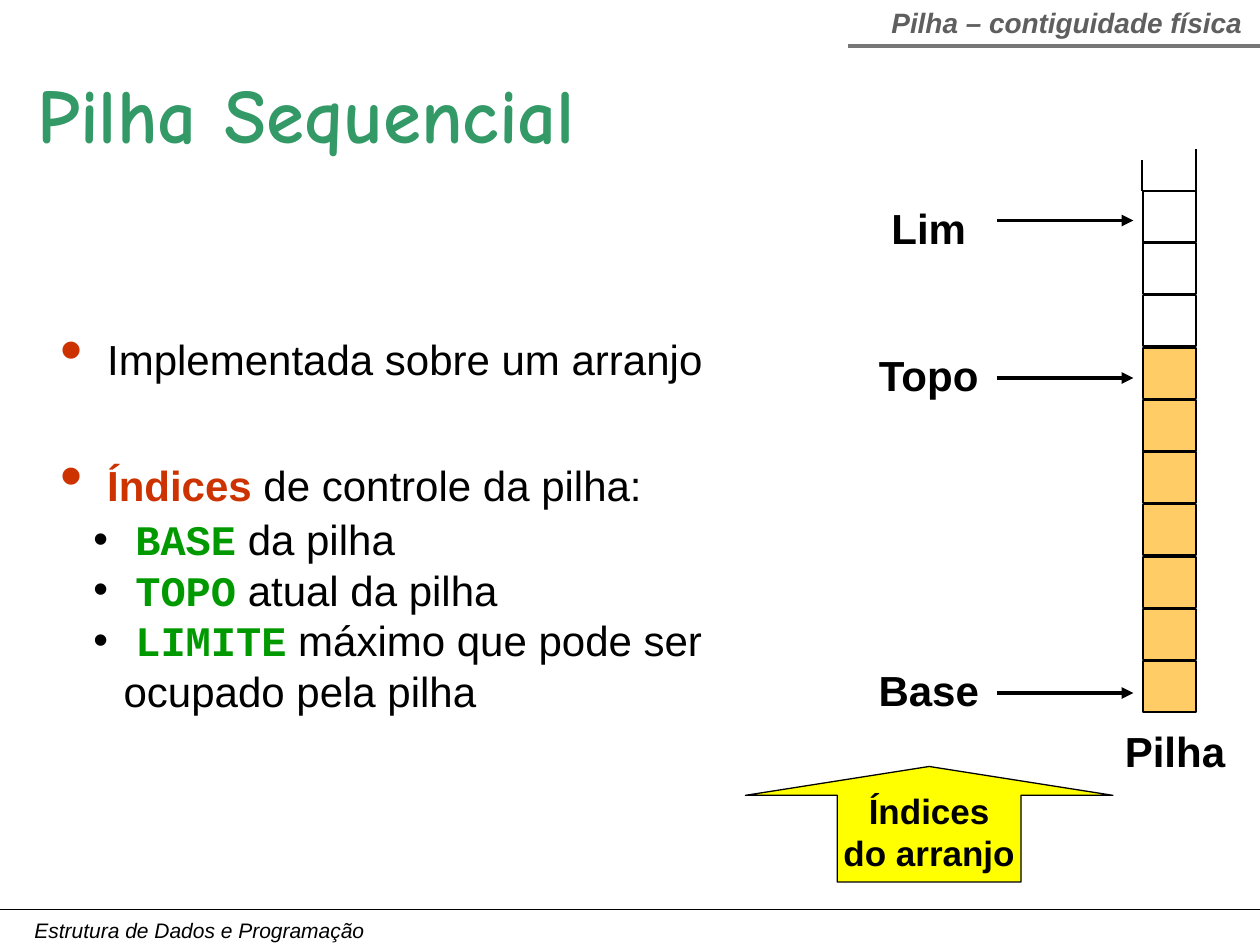
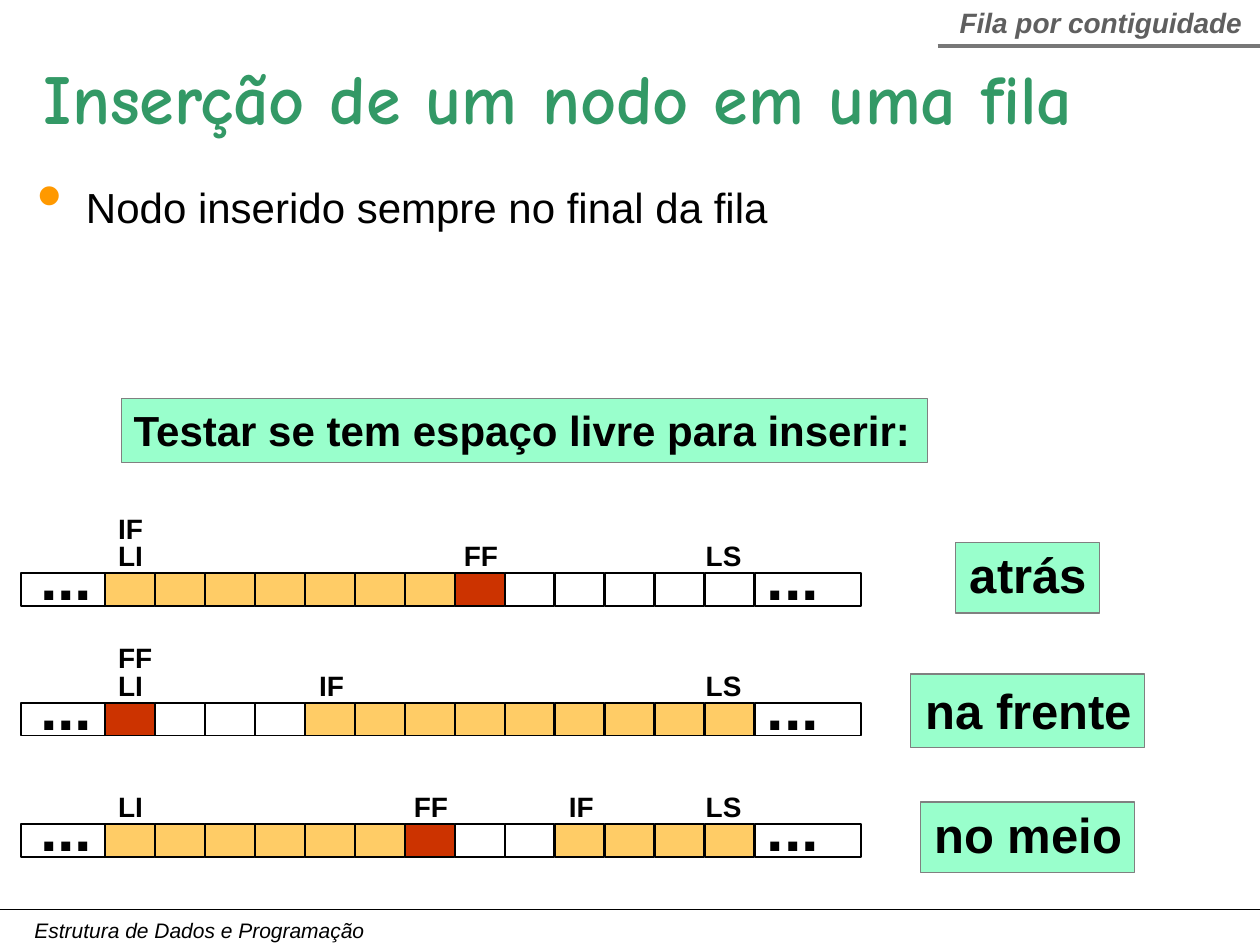
from collections import namedtuple

from lxml import etree
from pptx import Presentation
from pptx import util as u
from pptx.dml.color import RGBColor
from pptx.enum import shapes, text
from pptx.oxml import ns

Box = namedtuple("Box", "left top width height")
COLUMNS, ROWS = 120, 90
UNIT = u.Inches(10) / COLUMNS
BLACK, WHITE, USED, NEW, MINT = "000000", "FFFFFF", "FFCC66", "CC3300", "99FFCC"
GREY, RULE, TITLE, CODE = "5F5F5F", "777777", "339966", "009900"
CELL_FILLS = {"u": USED, "n": NEW, "f": WHITE}
LEFT, CENTER, RIGHT = text.PP_ALIGN.LEFT, text.PP_ALIGN.CENTER, text.PP_ALIGN.RIGHT


def grid(*lengths):
    """Turn grid units into slide lengths."""
    return [u.Emu(round(length * UNIT)) for length in lengths]


def color(value):
    """Turn a hex string into a colour."""
    return RGBColor.from_string(value)


def style(size, ink=BLACK, name="Arial", **flags):
    """Describe a font as a dict of format values."""
    return {"size": u.Pt(size), "name": name, "ink": ink, **flags}


def apply_format(target, values):
    """Set each format value on the target."""
    for key, value in values.items():
        if key == "ink":
            target.color.rgb = color(value)
        else:
            setattr(target, key, value)


def add_bullet(paragraph, margin, hang):
    """Give a paragraph a round bullet on a hanging indent."""
    properties = paragraph._p.get_or_add_pPr()
    properties.set("marL", str(u.Inches(margin)))
    properties.set("indent", str(-u.Inches(hang)))
    etree.SubElement(properties, ns.qn("a:buFont")).set("typeface", "Arial")
    etree.SubElement(properties, ns.qn("a:buChar")).set("char", "•")


def write(frame, lines, font, align=LEFT, **values):
    """Write plain lines in one font into a text frame."""
    apply_format(frame, {"word_wrap": False, **values})
    for index, line in enumerate(lines):
        paragraph = frame.paragraphs[0] if index == 0 else frame.add_paragraph()
        paragraph.alignment = align
        add_run(paragraph, line, font)


def add_run(paragraph, words, font):
    """Append one formatted run."""
    run = paragraph.add_run()
    run.text = words
    apply_format(run.font, font)


def add_label(slide, box, words, font, align=LEFT, **values):
    """Place a one-line text."""
    label = slide.shapes.add_textbox(*grid(*box))
    write(label.text_frame, [words], font, align, **values)


def add_bullets(slide, box, items):
    """Place bulleted items, each a level, a space before and its runs."""
    frame = slide.shapes.add_textbox(*grid(*box)).text_frame
    frame.word_wrap = True
    for index, (level, space, runs) in enumerate(items):
        paragraph = frame.paragraphs[0] if index == 0 else frame.add_paragraph()
        add_bullet(paragraph, *((0.5, 0.24) if level else (0.23, 0.23)))
        paragraph.level = level
        if space:
            paragraph.space_before = u.Pt(space)
        for words, font in runs:
            add_run(paragraph, words, font)


def add_block(slide, box, fill=None, line=BLACK, weight=1, kind="RECTANGLE"):
    """Place a filled or hollow preset shape."""
    block = slide.shapes.add_shape(shapes.MSO_SHAPE[kind], *grid(*box))
    block.shadow.inherit = False
    if fill:
        block.fill.solid()
        block.fill.fore_color.rgb = color(fill)
    else:
        block.fill.background()
    block.line.color.rgb = color(line)
    block.line.width = u.Pt(weight)
    return block


def add_line(slide, start, end, ink=BLACK, weight=1, arrow=False):
    """Draw a straight line, with an arrowhead at its end if asked."""
    line = slide.shapes.add_connector(
        shapes.MSO_CONNECTOR.STRAIGHT, *grid(*start, *end))
    line.line.color.rgb = color(ink)
    line.line.width = u.Pt(weight)
    if arrow:
        head = etree.SubElement(line.line._get_or_add_ln(), ns.qn("a:tailEnd"))
        head.set("type", "triangle")
    etree.SubElement(line._element.spPr, ns.qn("a:effectLst"))


def add_note(slide, box, words, size, align=LEFT, spacing=None):
    """Place a mint note with bold text."""
    note = add_block(slide, box, MINT, "808080", 0.75)
    write(note.text_frame, [words], style(size, bold=True), align,
          vertical_anchor=text.MSO_ANCHOR.TOP)
    if spacing:
        note.text_frame.paragraphs[0].line_spacing = spacing


def start_slide(deck, topic, topic_width, rule_left, title, title_box, title_size):
    """Add a slide with its topic band, title and footer."""
    slide = deck.slides.add_slide(deck.slide_layouts[6])
    add_label(slide, Box(2.1, 86.75, 34, 3.6), "Estrutura de Dados e Programação",
              style(12, italic=True))
    add_line(slide, (0, 86.6), (COLUMNS, 86.6), weight=0.75)
    add_label(slide, title_box, title, style(title_size, TITLE, "Comic Neue", bold=True))
    add_line(slide, (rule_left, 4.35), (COLUMNS, 4.35), RULE, 2.25)
    add_label(slide, Box(119.55 - topic_width, -0.05, topic_width, 4.4), topic,
              style(16, GREY, bold=True, italic=True), CENTER)
    return slide


def add_stack(slide, box, cells, pointers):
    """Draw a vertical stack open at the top, with indices pointing to its cells."""
    left, top, width, height = box
    bold = style(24, bold=True)
    pitch = height / len(cells)
    for index, state in enumerate(cells):
        add_block(slide, Box(left, top + index * pitch, width, pitch - 0.15),
                  CELL_FILLS[state])
    for side, rise in ((left - 0.1, 3), (left + width, 4)):
        add_line(slide, (side, top), (side, top - rise))
    for name, (row, label_row) in pointers.items():
        level = top + row
        add_line(slide, (left - 13.9, level), (left - 0.9, level), weight=2.25, arrow=True)
        add_label(slide, Box(left - 27.4, top + label_row, 14, 5.3), name, bold, CENTER,
                  vertical_anchor=text.MSO_ANCHOR.MIDDLE)
    add_label(slide, Box(left - 2.9, top + height + 0.6, 12, 6), "Pilha", bold)


def add_queue(slide, box, cells, markers):
    """Draw a stretch of memory cells with its markers above."""
    left, top, width, height = box
    first, pitch, last = left + 8.02, 4.76, left + 69.9
    bold, dots = style(16, bold=True), style(36, bold=True)
    shifts = {"LS": -1.1, "FF": -0.35, "IF": 0.15}
    add_block(slide, Box(left, top, 8.5, height))
    for index, state in enumerate(cells):
        add_block(slide, Box(first + index * pitch, top, 4.7, height), CELL_FILLS[state])
    add_block(slide, Box(last, top, left + width - last, height))
    for dots_left in (left + 0.64, last - 0.05):
        add_label(slide, Box(dots_left, top - 3.95, 7.4, 8.4), "...", dots)
    for index, names in markers.items():
        marker_left = first + index * pitch + shifts.get(names[0], 0.05)
        for floor, name in enumerate(names):
            add_label(slide, Box(marker_left, top - 3.9 - 2.6 * floor, 7, 4.4), name, bold)


def build_stack_slide(deck):
    """Build the slide on the sequential stack."""
    slide = start_slide(deck, "Pilha – contiguidade física", 35.9, 80.8,
                        "Pilha Sequencial", Box(2.4, 5.75, 59, 10), 44)
    add_stack(slide, Box(108.85, 18.2, 5.05, 49.75), "fffuuuuuuu",
              {"Lim": (2.8, 0.8), "Topo": (17.8, 14.8), "Base": (47.8, 44.8)})
    callout = add_block(slide, Box(71, 73, 35, 11), "FFFF00", weight=0.75, kind="UP_ARROW")
    callout.adjustments[0], callout.adjustments[1] = 0.5, 0.25
    write(callout.text_frame, ["Índices", "do arranjo"], style(20, bold=True), CENTER,
          vertical_anchor=text.MSO_ANCHOR.MIDDLE)
    lead, body = (" ", style(36, NEW)), style(24)
    indices = (("BASE", " da pilha"), ("TOPO", " atual da pilha"),
               ("LIMITE", " máximo que pode ser ocupado pela pilha"))
    items = [(0, 0, [lead, ("Implementada sobre um arranjo", body)]),
             (0, 28.8, [lead, ("Índices", style(24, NEW, bold=True)),
                        (" de controle da pilha:", body)])]
    items += [(1, 0, [(" ", body), (name, style(24, CODE, "Courier New", bold=True)),
                      (meaning, body)])
              for name, meaning in indices]
    add_bullets(slide, Box(4.6, 29.15, 67.7, 44.4), items)


def build_queue_slide(deck):
    """Build the slide on inserting a node into a queue."""
    slide = start_slide(deck, "Fila por contiguidade", 29.4, 89.3,
                        "Inserção de um nodo em uma fila", Box(3, 4.6, 110.5, 9.2), 40)
    add_bullets(slide, Box(2.4, 14, 108.2, 9.2),
                [(0, 0, [(" ", style(40, "FF9900")),
                         ("Nodo inserido sempre no final da fila", style(24))])])
    add_note(slide, Box(11.55, 37.95, 76.8, 6.1),
             "Testar se tem espaço livre para inserir:", 24)
    cases = (
        (54.6, "uuuuuuunfffff", {0: ("LI", "IF"), 7: ("FF",), 12: ("LS",)},
         "atrás", 13.7, 51.7, 6.7, 0.95),
        (66.95, "nfffuuuuuuuuu", {0: ("LI", "FF"), 4: ("IF",), 12: ("LS",)},
         "na frente", 22.3, 64.2, 7, None),
        (78.5, "uuuuuunffuuuu", {0: ("LI",), 6: ("FF",), 9: ("IF",), 12: ("LS",)},
         "no meio", 20.4, 76.4, 6.7, 0.95),
    )
    for top, cells, markers, place, width, note_top, height, spacing in cases:
        add_queue(slide, Box(2, top, 80, 3.1), cells, markers)
        add_note(slide, Box(97.85 - width / 2, note_top, width, height),
                 place, 28, RIGHT, spacing)


def main():
    """Build and save the deck."""
    deck = Presentation()
    deck.slide_width, deck.slide_height = grid(COLUMNS, ROWS)
    build_stack_slide(deck)
    build_queue_slide(deck)
    deck.save("out.pptx")


if __name__ == "__main__":
    main()
